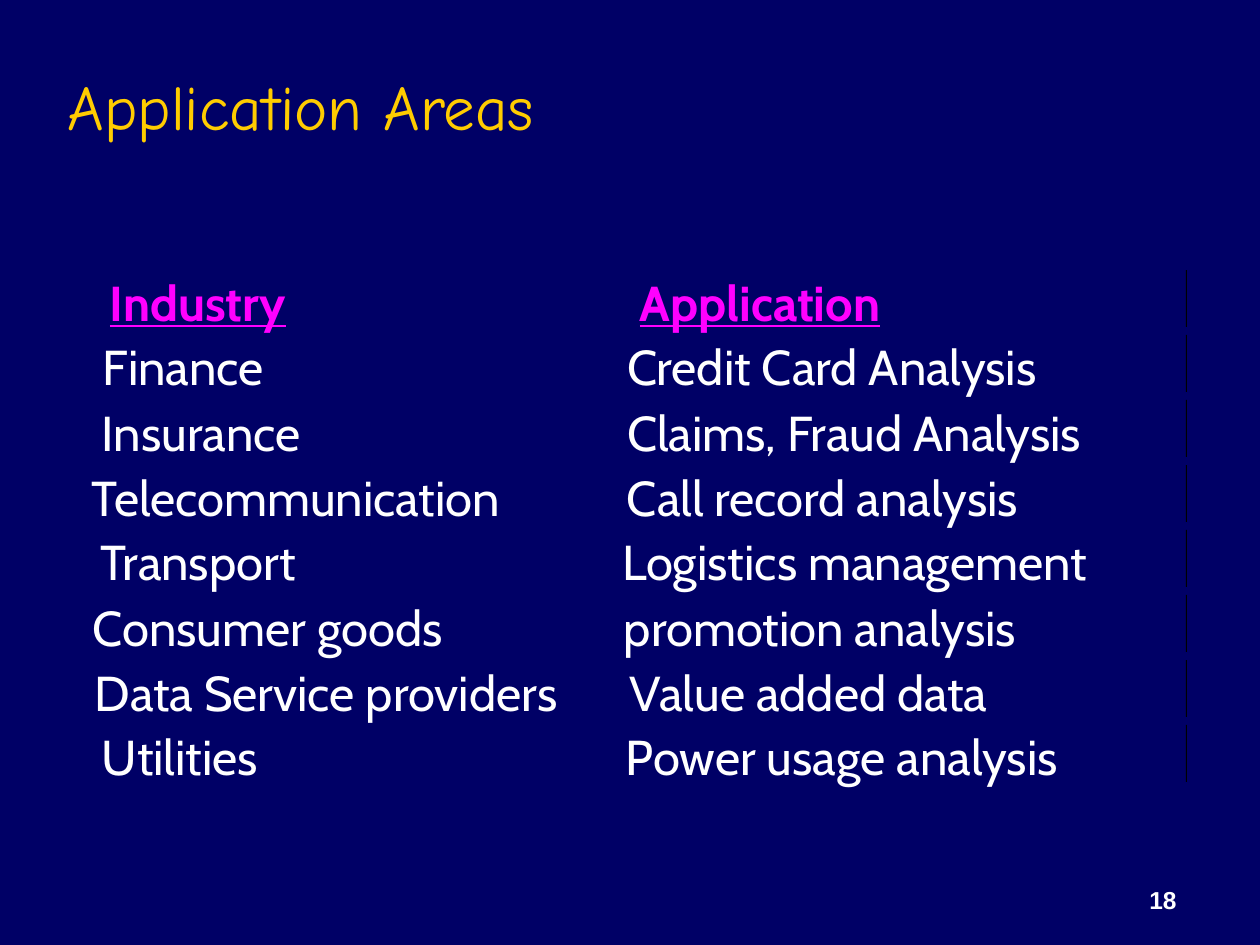
import pptx
import pptx.dml.color
import pptx.enum.shapes
import pptx.enum.text
import pptx.util

ALIGN = pptx.enum.text.PP_ALIGN
ANCHOR = pptx.enum.text.MSO_ANCHOR
SIZING = pptx.enum.text.MSO_AUTO_SIZE
RECTANGLE = pptx.enum.shapes.MSO_SHAPE.RECTANGLE

ROW_TOP, ROW_PITCH, ROW_HEIGHT = 272, 65, 59
RULE_LEFT, RULE_HEIGHT = 1186, 57

ROWS = [
    (("Industry", 110, 210), ("Application", 640, 278)),
    (("Finance", 103, 178), ("Credit Card Analysis", 627, 460)),
    (("Insurance", 102, 229), ("Claims, Fraud Analysis", 627, 510)),
    (("Telecommunication", 92, 454), ("Call record analysis", 627, 442)),
    (("Transport", 101, 227), ("Logistics management", 622, 522)),
    (("Consumer goods", 93, 393), ("promotion analysis", 624, 441)),
    (("Data Service providers", 95, 515), ("Value added data", 630, 401)),
    (("Utilities", 102, 173), ("Power usage analysis", 626, 493)),
]


def px(length):
    return pptx.util.Emu(round(length * 914400 / 126))


def color(value):
    return pptx.dml.color.RGBColor.from_string(value)


def apply(target, values):
    for name, value in values.items():
        setattr(target, name, value)


class Composer:
    fonts = {
        "title": {"name": "Comic Neue", "size": pptx.util.Pt(36), "bold": False},
        "heading": {"name": "Cabin", "size": pptx.util.Pt(28), "bold": True, "underline": True},
        "entry": {"name": "Cabin", "size": pptx.util.Pt(28)},
        "number": {"name": "Arial", "size": pptx.util.Pt(14), "bold": True},
    }
    colors = {"title": "FFCC00", "heading": "FF00FF", "entry": "FFFFFF", "number": "FFFFFF"}
    cell_frame = {
        "margin_left": 0, "margin_top": 0, "margin_right": 0, "margin_bottom": 0,
        "word_wrap": False, "auto_size": SIZING.SHAPE_TO_FIT_TEXT,
    }

    def __init__(self, deck, background):
        self.page = deck.slides.add_slide(deck.slide_layouts[5])
        fill = self.page.background.fill
        fill.solid()
        fill.fore_color.rgb = color(background)

    def set_text(self, box, text, style, frame, align=ALIGN.LEFT):
        apply(box.text_frame, frame)
        para = box.text_frame.paragraphs[0]
        para.alignment = align
        span = para.add_run()
        span.text = text
        apply(span.font, self.fonts[style])
        span.font.color.rgb = color(self.colors[style])

    def title(self, text, left, top, width, height):
        box = self.page.shapes.title
        apply(box, {"left": px(left), "top": px(top), "width": px(width), "height": px(height)})
        frame = {"vertical_anchor": ANCHOR.MIDDLE, "word_wrap": True, "auto_size": SIZING.NONE}
        self.set_text(box, text, "title", frame)

    def cell(self, text, left, top, width, style):
        box = self.page.shapes.add_textbox(px(left), px(top), px(width), px(ROW_HEIGHT))
        self.set_text(box, text, style, self.cell_frame)

    def number(self, text, left, top, width, height):
        box = self.page.shapes.add_textbox(px(left), px(top), px(width), px(height))
        frame = {"vertical_anchor": ANCHOR.BOTTOM, "word_wrap": True}
        self.set_text(box, text, "number", frame, ALIGN.RIGHT)

    def rule(self, left, top, height):
        bar = self.page.shapes.add_shape(RECTANGLE, px(left), px(top), px(1), px(height))
        bar.shadow.inherit = False
        bar.fill.solid()
        bar.fill.fore_color.rgb = color("000000")
        bar.line.fill.background()


def main():
    deck = pptx.Presentation()
    apply(deck, {"slide_width": px(1260), "slide_height": px(945)})
    composer = Composer(deck, "000066")
    composer.number("18", 927, 858, 262, 63)
    composer.title("Application Areas", 55, 32, 1071, 147)
    for index, row in enumerate(ROWS):
        top = ROW_TOP + index * ROW_PITCH
        style = "entry" if index else "heading"
        for text, left, width in row:
            composer.cell(text, left, top, width, style)
        composer.rule(RULE_LEFT, top - 2, RULE_HEIGHT)
    deck.save("out.pptx")


if __name__ == "__main__":
    main()
